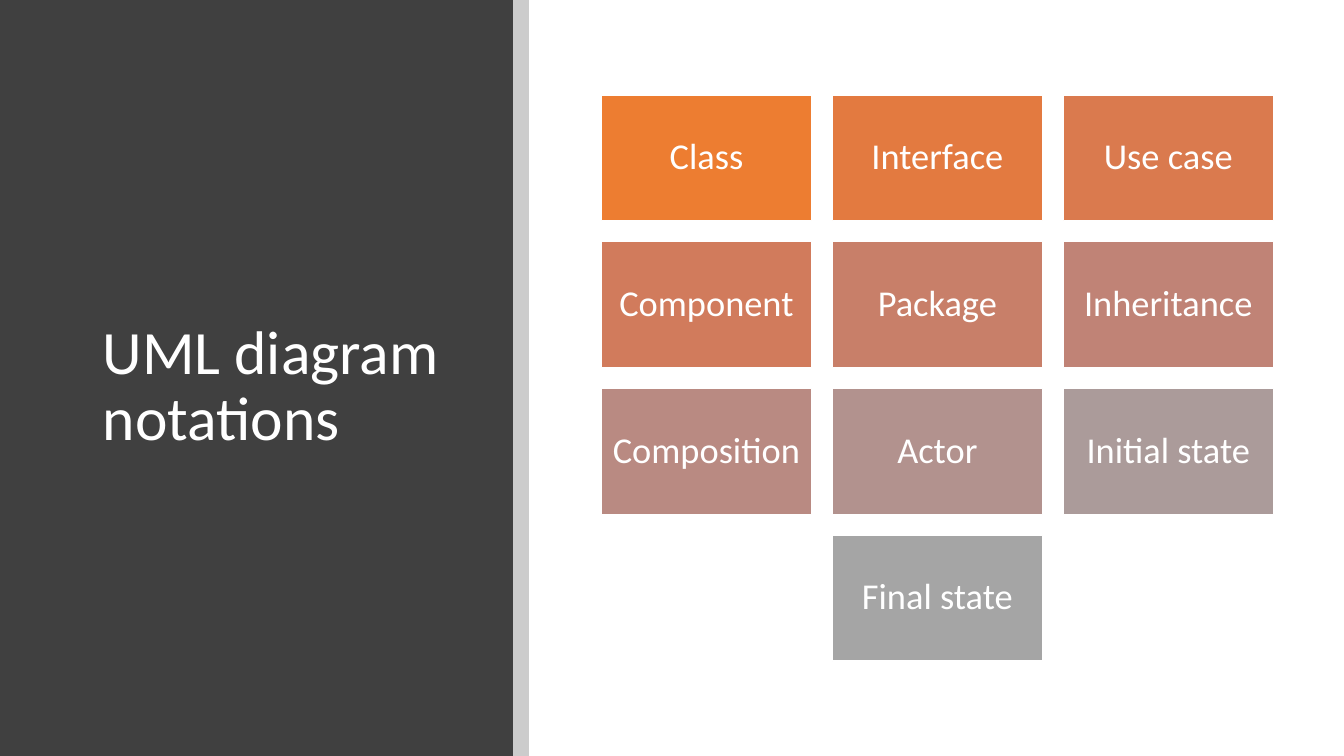
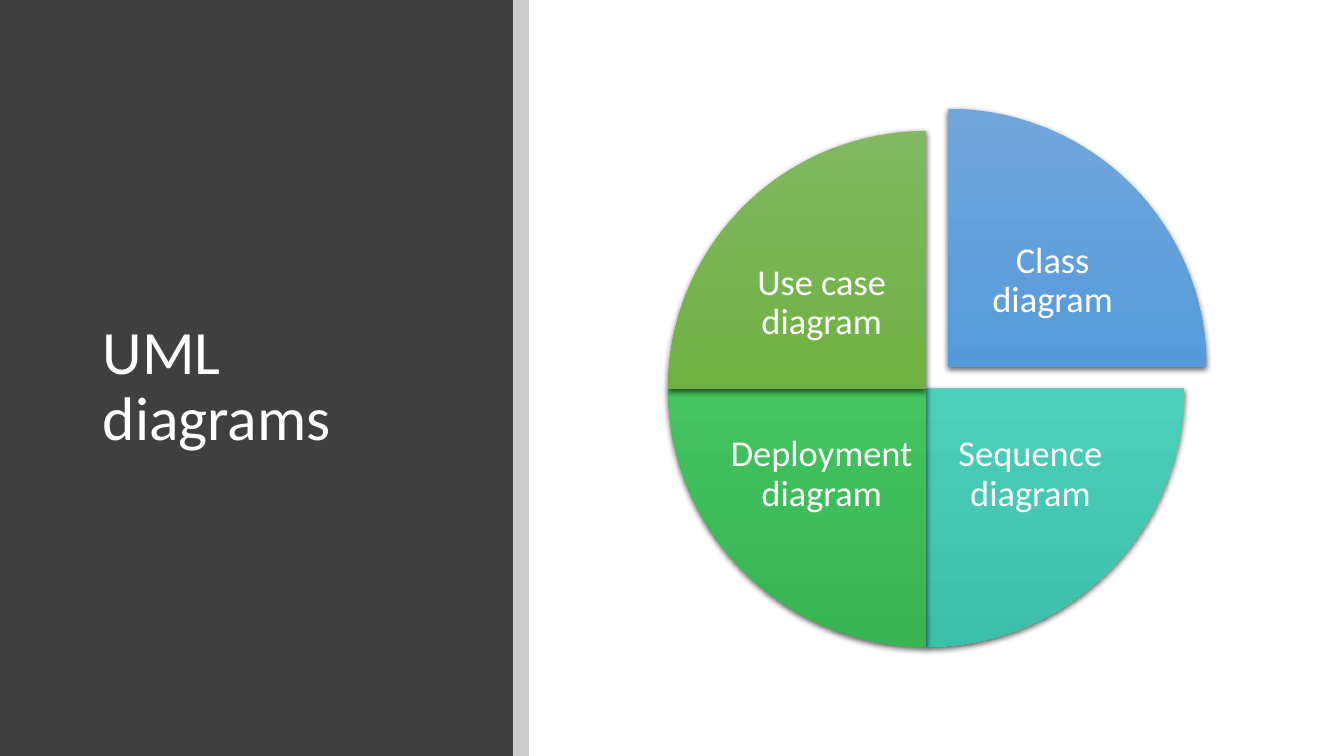
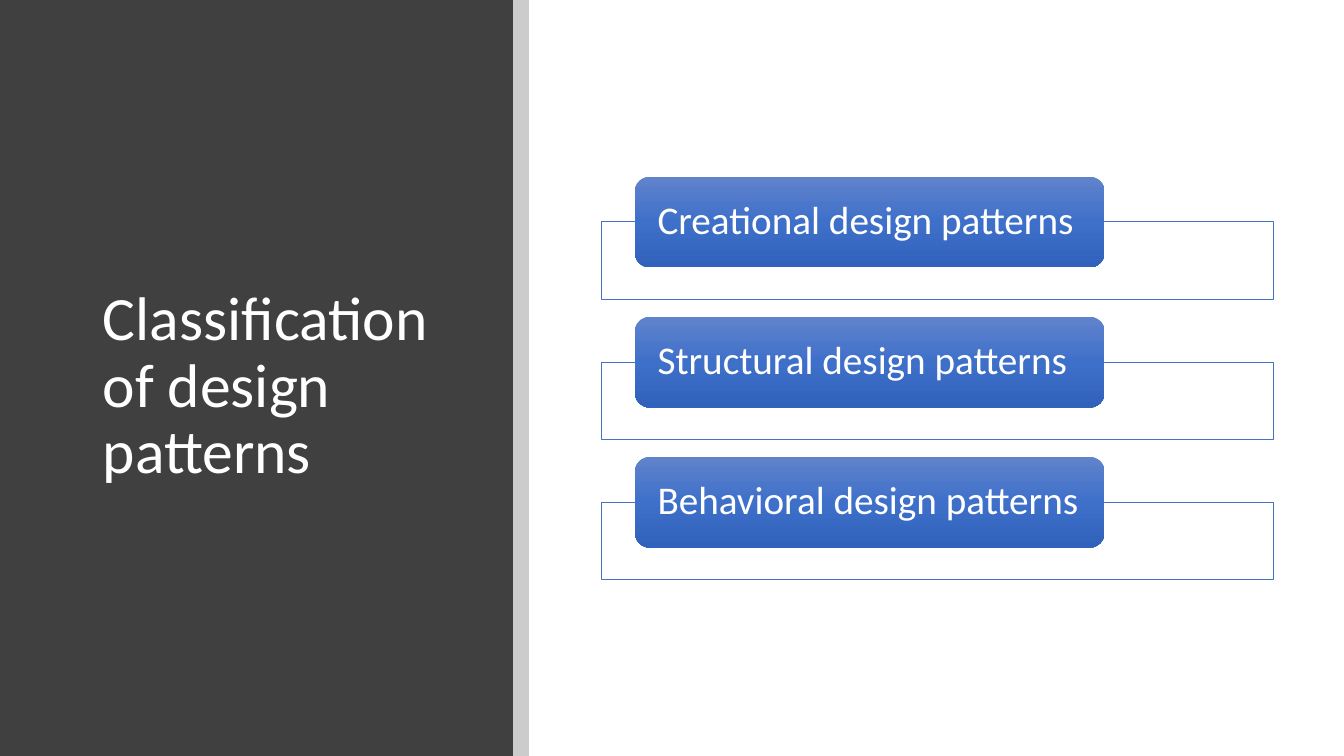
import copy
from lxml import etree
from pptx import Presentation
from pptx import util as u
from pptx.dml.color import RGBColor
from pptx.enum import shapes, text
from pptx.oxml.ns import qn

Cm = u.Cm
SHAPE = shapes.MSO_SHAPE
ALIGN = text.PP_ALIGN


def rgb(value):
    return RGBColor.from_string(value)


class Deck:
    font = "Calibri"
    white = "FFFFFF"
    panel = "404040"
    band = "000000"

    def __init__(self):
        self.prs = Presentation()
        self.prs.slide_width = Cm(33.87)
        self.prs.slide_height = Cm(19.05)
        self.s = None

    def slide(self, title):
        self.s = self.prs.slides.add_slide(self.prs.slide_layouts[6])
        self.fill(self.shape(SHAPE.RECTANGLE, 0, 0, 12.93, 19.05), self.panel)
        self.fill(self.shape(SHAPE.RECTANGLE, 12.93, 0, 0.4, 19.05), self.band, 20)
        self.label(title, 2.34, 2.26, 9.27, 15.01, 44, ALIGN.LEFT, (0.25, 0.13))

    def shape(self, kind, x, y, w, h):
        sp = self.s.shapes.add_shape(kind, Cm(x), Cm(y), Cm(w), Cm(h))
        sp.shadow.inherit = False
        sp.line.fill.background()
        return sp

    def fill(self, sp, color, opacity=100):
        sp.fill.solid()
        sp.fill.fore_color.rgb = rgb(color)
        if opacity < 100:
            clr = sp._element.spPr.find(qn("a:solidFill")).find(qn("a:srgbClr"))
            etree.SubElement(clr, qn("a:alpha"), val=str(opacity * 1000))

    def gradient(self, sp, colors):
        sp.fill.gradient()
        sp.fill.gradient_angle = 270
        stops = sp._element.spPr.find(qn("a:gradFill")).find(qn("a:gsLst"))
        stops.append(copy.deepcopy(stops[-1]))
        for i, (stop, color) in enumerate(zip(sp.fill.gradient_stops, colors)):
            stop.position = i / 2
            stop.color.rgb = rgb(color)

    def outline(self, sp, color, width):
        sp.line.color.rgb = rgb(color)
        sp.line.width = u.Pt(width)

    def drop_shadow(self, sp):
        effects = sp._element.spPr.find(qn("a:effectLst"))
        shadow = etree.SubElement(
            effects, qn("a:outerShdw"), blurRad=str(int(u.Pt(4.5))), dist=str(int(u.Pt(1.5))),
            dir="5400000", algn="ctr", rotWithShape="0")
        clr = etree.SubElement(shadow, qn("a:srgbClr"), val="000000")
        etree.SubElement(clr, qn("a:alpha"), val="63000")

    def add_text(self, sp, words, size, align, insets):
        tf = sp.text_frame
        tf.word_wrap = True
        tf.vertical_anchor = text.MSO_ANCHOR.MIDDLE
        tf.margin_left = tf.margin_right = Cm(insets[0])
        tf.margin_top = tf.margin_bottom = Cm(insets[1])
        p = tf.paragraphs[0]
        p.alignment = align
        p.line_spacing = 0.9
        r = p.add_run()
        r.text = words
        r.font.name = self.font
        r.font.size = u.Pt(size)
        r.font.color.rgb = rgb(self.white)

    def label(self, words, x, y, w, h, size, align, insets):
        sp = self.s.shapes.add_textbox(Cm(x), Cm(y), Cm(w), Cm(h))
        self.add_text(sp, words, size, align, insets)

    def tile(self, words, x, y, color):
        sp = self.shape(SHAPE.RECTANGLE, x, y, 5.29, 3.17)
        self.fill(sp, color)
        self.outline(sp, self.white, 1)
        self.add_text(sp, words, 26, ALIGN.CENTER, (0.28, 0.28))

    def wedge(self, words, cx, cy, quarter, colors):
        radius, w, h, gap = 6.5, 4.8, 3.86, 0.23
        sp = self.shape(SHAPE.PIE, cx - radius, cy - radius, 2 * radius, 2 * radius)
        sp.adjustments[0] = quarter * 54
        sp.adjustments[1] = (quarter + 1) % 4 * 54
        self.gradient(sp, colors)
        self.drop_shadow(sp)
        x = cx + gap if quarter in (0, 3) else cx - gap - w
        y = cy + gap if quarter in (0, 1) else cy - gap - h
        self.label(words, x, y, w, h, 26, ALIGN.CENTER, (0.1, 0.1))

    def pattern(self, words, y):
        frame = self.shape(SHAPE.RECTANGLE, 15.16, y + 1.14, 16.92, 1.96)
        self.fill(frame, self.white, 90)
        self.outline(frame, "4472C4", 0.5)
        tab = self.shape(SHAPE.ROUNDED_RECTANGLE, 16, y, 11.84, 2.29)
        self.gradient(tab, ("6183CB", "3E70CA", "3062BB"))
        self.add_text(tab, words, 28, ALIGN.LEFT, (0.46, 0))


def main():
    deck = Deck()

    deck.slide("UML diagram notations")
    notations = [
        ("Class", "ED7D31"), ("Interface", "E37A40"), ("Use case", "DA7A4E"),
        ("Component", "D17B5C"), ("Package", "C87F69"), ("Inheritance", "C08376"),
        ("Composition", "B98A82"), ("Actor", "B2928E"), ("Initial state", "AB9B9A"),
        ("Final state", "A5A5A5"),
    ]
    columns = 3
    for start in range(0, len(notations), columns):
        row = notations[start:start + columns]
        indent = (columns - len(row)) / 2
        for i, (words, color) in enumerate(row):
            deck.tile(words, 15.16 + (i + indent) * 5.82, 2.39 + start // columns * 3.7, color)

    deck.slide("UML diagrams")
    diagrams = [
        ("Class diagram", 3, 0.56, ("71A6DB", "559BDB", "448ACA")),
        ("Sequence diagram", 0, 0, ("6AD1C0", "4CD0BC", "3CC0AC")),
        ("Deployment diagram", 1, 0, ("64C677", "44C460", "36B552")),
        ("Use case diagram", 2, 0, ("81B861", "6FB242", "62A336")),
    ]
    for words, quarter, shift, colors in diagrams:
        deck.wedge(words, 23.34 + shift, 9.8 - shift, quarter, colors)

    deck.slide("Classification of design patterns")
    for i, kind in enumerate(("Creational", "Structural", "Behavioral")):
        deck.pattern(f"{kind} design patterns", 4.45 + i * 3.53)

    deck.prs.save("out.pptx")


if __name__ == "__main__":
    main()
